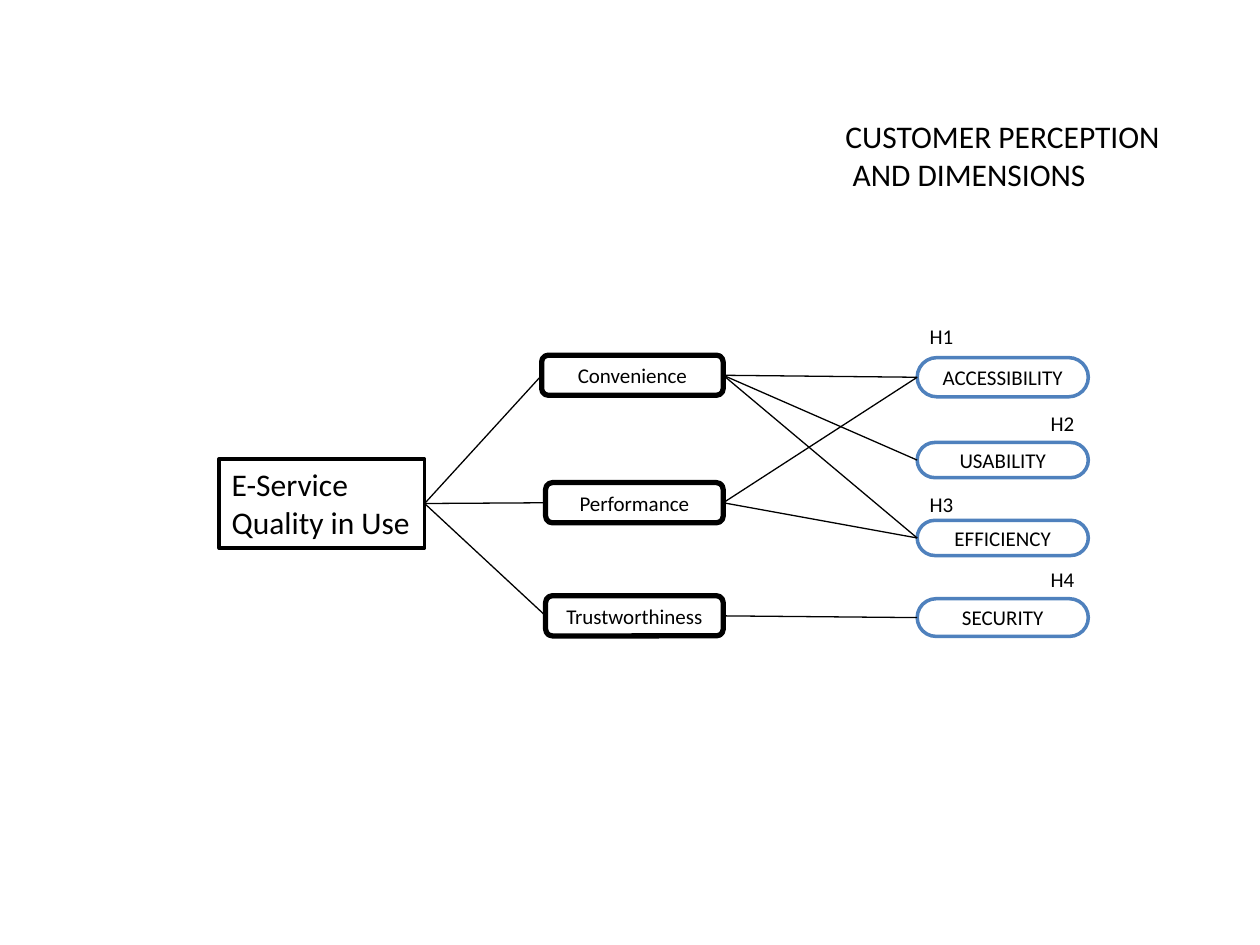
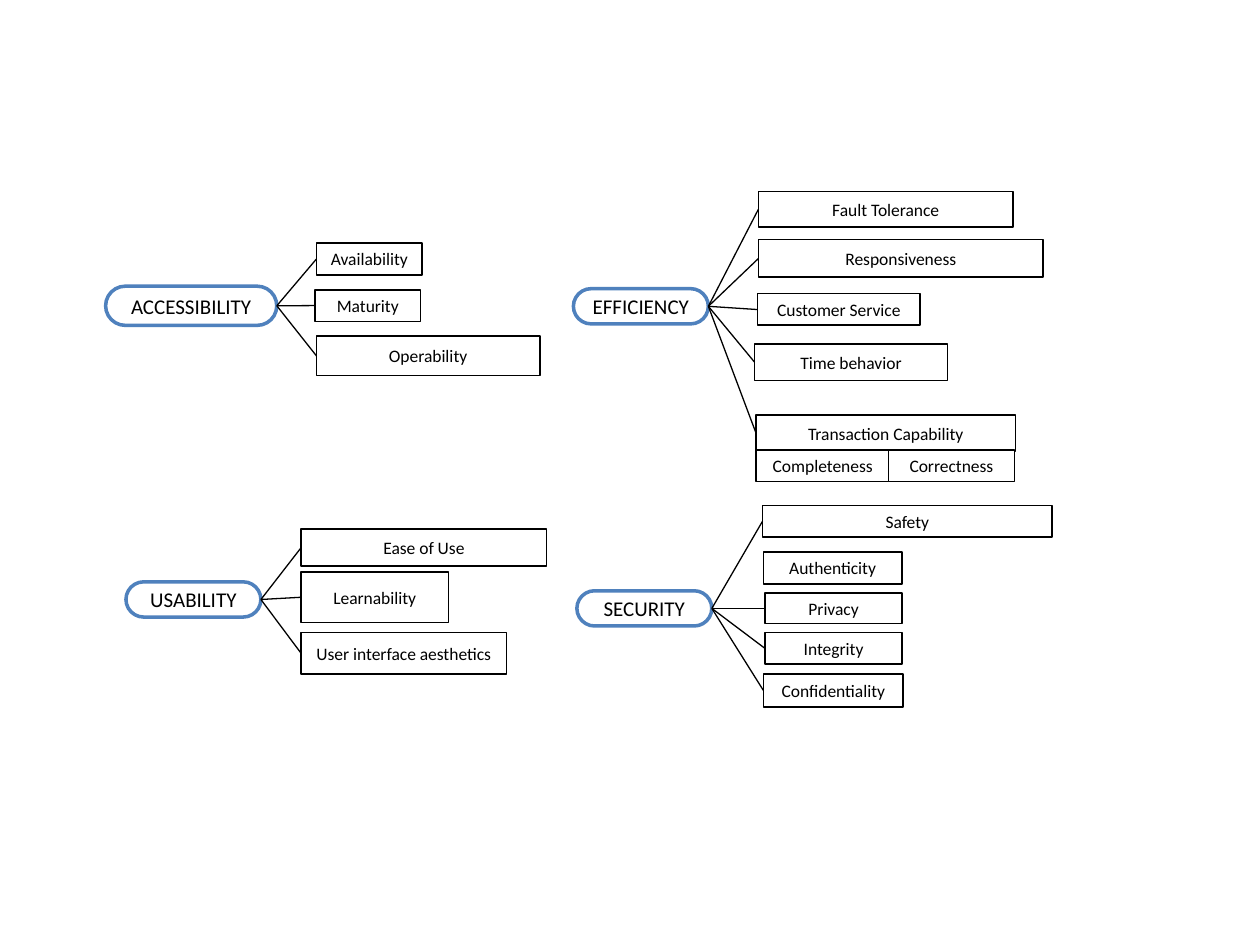
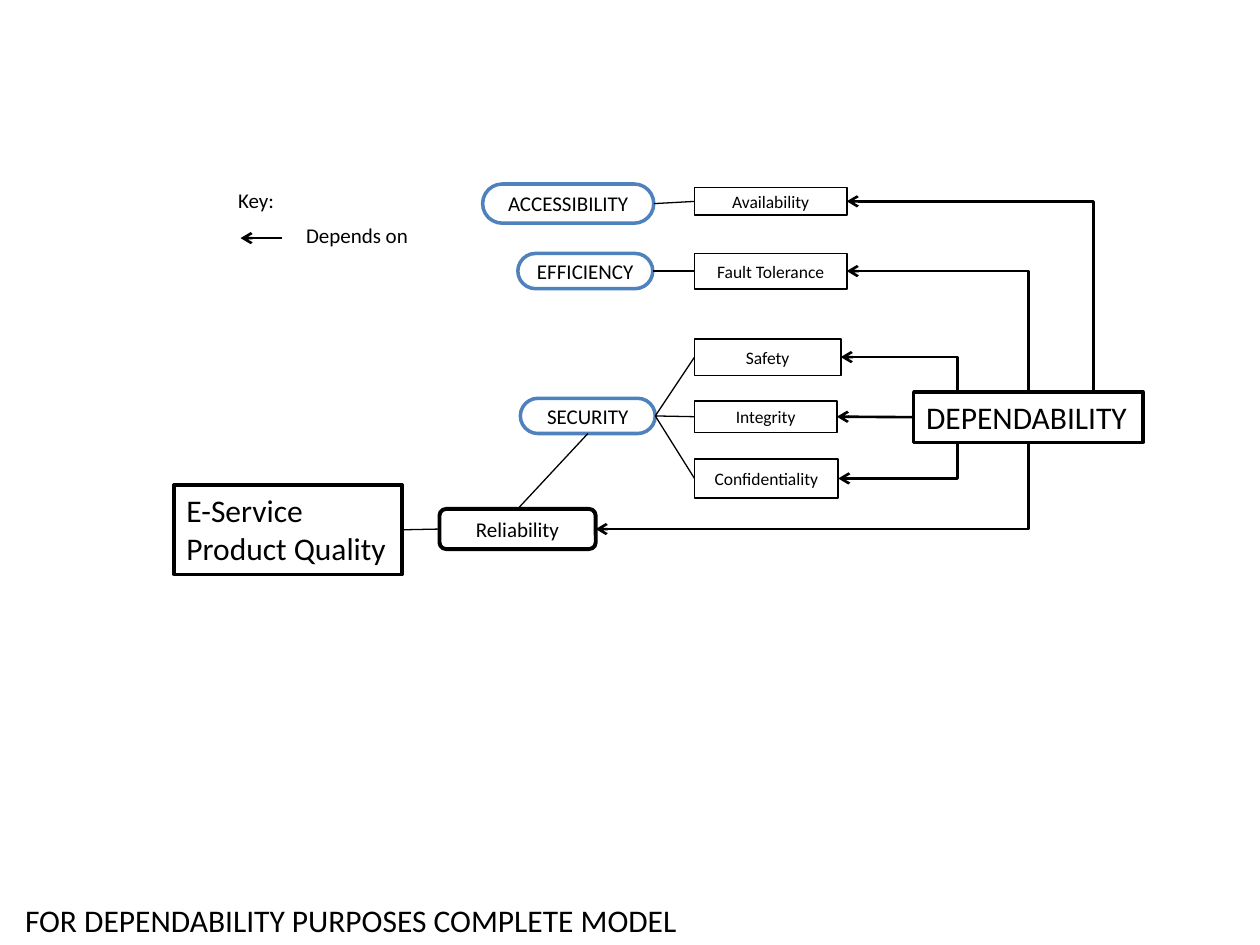
from lxml import etree
from pptx import Presentation
from pptx import util as u
from pptx.dml.color import RGBColor
from pptx.enum import shapes, text
from pptx.oxml import ns

FONT = "Calibri"
BLACK, WHITE, BLUE = "000000", "FFFFFF", "4F81BD"
TOP, LEFT, BOTTOM, RIGHT = range(4)
TITLE_ONLY, BLANK = 5, 6
ROUNDED, RECTANGLE = shapes.MSO_SHAPE.ROUNDED_RECTANGLE, shapes.MSO_SHAPE.RECTANGLE
THIN, THICK = 0.75, 1.5

STYLES = {
    "root": dict(shape=RECTANGLE, line=BLACK, width=2, size=18),
    "dimension": dict(shape=ROUNDED, line=BLACK, width=3, size=12),
    "reliability": dict(shape=ROUNDED, line=BLACK, width=2.25, size=12),
    "quality": dict(shape=ROUNDED, corner=0.5, line=BLUE, width=2, size=12),
    "attribute": dict(shape=ROUNDED, corner=0, line=BLACK, width=1, size=10),
}

SLIDES = [
    dict(
        title=("CUSTOMER PERCEPTION\n AND DIMENSIONS", 16.79, 2.24, 6.93, 1.8),
        boxes=[
            ("quality", "ACCESSIBILITY", 18.49, 7.21, 3.45, 0.79),
            ("quality", "USABILITY", 18.49, 8.92, 3.45, 0.71),
            ("quality", "EFFICIENCY", 18.49, 10.49, 3.45, 0.71),
            ("quality", "SECURITY", 18.49, 12.07, 3.45, 0.76),
            ("dimension", "Convenience", 10.92, 7.16, 3.66, 0.81),
            ("dimension", "Performance", 11, 9.73, 3.58, 0.81),
            ("dimension", "Trustworthiness", 11, 12.01, 3.58, 0.81),
            ("root", "E-Service\nQuality in Use", 4.42, 9.25, 4.14, 1.8),
        ],
        labels=[
            ("H1", 18.49, 6.4, 0.99, 0.76),
            ("H2", 20.93, 8.15, 0.99, 0.76),
            ("H3", 18.49, 9.78, 0.99, 0.76),
            ("H4", 20.93, 11.3, 0.99, 0.76),
        ],
        branches={
            "E-Service\nQuality in Use": ["Convenience", "Performance", "Trustworthiness"],
            "Convenience": ["ACCESSIBILITY", "USABILITY", "EFFICIENCY"],
            "Performance": ["ACCESSIBILITY", "EFFICIENCY"],
            "Trustworthiness": ["SECURITY"],
        },
    ),
    dict(
        boxes=[
            ("quality", "ACCESSIBILITY", 2.13, 5.77, 3.45, 0.79),
            ("quality", "USABILITY", 2.54, 11.73, 2.72, 0.71),
            ("quality", "EFFICIENCY", 11.56, 5.82, 2.72, 0.71),
            ("quality", "SECURITY", 11.63, 11.91, 2.72, 0.71),
            ("attribute", "Availability", 6.38, 4.9, 2.13, 0.64),
            ("attribute", "Maturity", 6.35, 5.84, 2.13, 0.64),
            ("attribute", "Operability", 6.38, 6.78, 4.5, 0.79),
            ("attribute", "Ease of Use", 6.07, 10.67, 4.95, 0.74),
            ("attribute", "Learnability", 6.07, 11.53, 2.97, 1.02),
            ("attribute", "User interface aesthetics", 6.07, 12.75, 4.14, 0.84),
            ("attribute", "Fault Tolerance", 15.29, 3.86, 5.13, 0.71),
            ("attribute", "Responsiveness", 15.29, 4.83, 5.74, 0.76),
            ("attribute", "Customer Service", 15.27, 5.92, 3.28, 0.64),
            ("attribute", "Time behavior", 15.21, 6.93, 3.89, 0.74),
            ("attribute", "Transaction Capability", 15.24, 8.36, 5.23, 0.74),
            ("attribute", "Completeness", 15.24, 9.07, 2.69, 0.64),
            ("attribute", "Correctness", 17.91, 9.07, 2.54, 0.64),
            ("attribute", "Safety", 15.37, 10.19, 5.84, 0.64),
            ("attribute", "Authenticity", 15.39, 11.13, 2.79, 0.64),
            ("attribute", "Privacy", 15.42, 11.96, 2.77, 0.61),
            ("attribute", "Integrity", 15.42, 12.75, 2.77, 0.64),
            ("attribute", "Confidentiality", 15.39, 13.59, 2.82, 0.66),
        ],
        branches={
            "ACCESSIBILITY": ["Availability", "Maturity", "Operability"],
            "USABILITY": ["Ease of Use", "Learnability", "User interface aesthetics"],
            "EFFICIENCY": ["Fault Tolerance", "Responsiveness", "Customer Service",
                           "Time behavior", "Transaction Capability"],
            "SECURITY": ["Safety", "Privacy", "Integrity", "Confidentiality"],
        },
    ),
    dict(
        title=("FOR DEPENDABILITY PURPOSES COMPLETE MODEL", 0.25, 18.03, 13.84, 1.02),
        boxes=[
            ("quality", "ACCESSIBILITY", 9.73, 3.71, 3.45, 0.79),
            ("quality", "EFFICIENCY", 10.44, 5.11, 2.72, 0.71),
            ("quality", "SECURITY", 10.49, 8.03, 2.72, 0.71),
            ("reliability", "Reliability", 8.86, 10.26, 3.15, 0.81),
            ("attribute", "Availability", 14, 3.78, 3.07, 0.56),
            ("attribute", "Fault Tolerance", 14, 5.11, 3.07, 0.71),
            ("attribute", "Safety", 14, 6.83, 2.95, 0.74),
            ("attribute", "Integrity", 14, 8.08, 2.87, 0.64),
            ("attribute", "Confidentiality", 14, 9.25, 2.9, 0.79),
            ("root", "E-Service\nProduct Quality", 3.51, 9.78, 4.6, 1.8),
            ("root", "DEPENDABILITY", 18.42, 7.9, 4.62, 1.02),
        ],
        labels=[
            ("Key:", 4.55, 3.66, 1.24, 0.76),
            ("Depends on", 5.92, 4.37, 3.02, 0.76),
        ],
        branches={
            "ACCESSIBILITY": ["Availability"],
            "EFFICIENCY": ["Fault Tolerance"],
            "SECURITY": ["Safety", "Integrity", "Confidentiality"],
            "E-Service\nProduct Quality": ["Reliability"],
        },
    ),
]

DEPENDENCIES = [
    ("Availability", 22.05, TOP),
    ("Fault Tolerance", 20.73, TOP),
    ("Safety", 19.3, TOP),
    ("Confidentiality", 19.3, BOTTOM),
    ("Reliability", 20.73, BOTTOM),
]
KEY_ARROW = (5.69, 4.8, 4.85, 4.8)


def color(value):
    return RGBColor.from_string(value)


def write(frame, content, size, alignment=text.PP_ALIGN.LEFT, wrap=False,
          anchor=text.MSO_ANCHOR.TOP):
    frame.word_wrap = wrap
    frame.vertical_anchor = anchor
    for index, line in enumerate(content.split("\n")):
        paragraph = frame.add_paragraph() if index else frame.paragraphs[0]
        paragraph.alignment = alignment
        run = paragraph.add_run()
        run.text = line
        run.font.name = FONT
        run.font.size = u.Pt(size)
        run.font.color.rgb = color(BLACK)


def add_title(slide, content, *place):
    title = slide.shapes.title
    title.left, title.top, title.width, title.height = map(u.Cm, place)
    title.text_frame.auto_size = text.MSO_AUTO_SIZE.NONE
    write(title.text_frame, content, 18)


def add_box(slide, kind, content, *place):
    style = STYLES[kind]
    shape = slide.shapes.add_shape(style["shape"], *map(u.Cm, place))
    if "corner" in style:
        shape.adjustments[0] = style["corner"]
    shape.shadow.inherit = False
    shape.fill.solid()
    shape.fill.fore_color.rgb = color(WHITE)
    shape.line.color.rgb = color(style["line"])
    shape.line.width = u.Pt(style["width"])
    if kind == "root":
        write(shape.text_frame, content, style["size"])
    else:
        write(shape.text_frame, content, style["size"], text.PP_ALIGN.CENTER,
              True, text.MSO_ANCHOR.MIDDLE)
    return shape


def add_label(slide, content, *place):
    write(slide.shapes.add_textbox(*map(u.Cm, place)).text_frame, content, 12)


def add_line(slide, places=(0, 0, 0, 0), width=THIN, arrow=False,
             kind=shapes.MSO_CONNECTOR.STRAIGHT):
    connector = slide.shapes.add_connector(kind, *places)
    connector.line.color.rgb = color(BLACK)
    connector.line.width = u.Pt(width)
    if arrow:
        tail = etree.SubElement(connector.line._get_or_add_ln(), ns.qn("a:tailEnd"))
        tail.set("type", "arrow")
    etree.SubElement(connector._element.spPr, ns.qn("a:effectLst"))
    return connector


def join(slide, start, start_side, end, end_side, **look):
    connector = add_line(slide, **look)
    connector.begin_connect(start, start_side)
    connector.end_connect(end, end_side)


def add_bend(slide, source, x, side, target):
    start_y = source.top if side == TOP else source.top + source.height
    connector = add_line(
        slide,
        (u.Cm(x), start_y, target.left + target.width, target.top + target.height // 2),
        THICK, True, shapes.MSO_CONNECTOR.ELBOW)
    geometry = connector._element.spPr.find(ns.qn("a:prstGeom"))
    adjustments = geometry.find(ns.qn("a:avLst"))
    if adjustments is None:
        adjustments = etree.SubElement(geometry, ns.qn("a:avLst"))
    guide = etree.SubElement(adjustments, ns.qn("a:gd"))
    guide.set("name", "adj1")
    guide.set("fmla", "val 0")


def add_diagram(presentation, content):
    layout = TITLE_ONLY if "title" in content else BLANK
    slide = presentation.slides.add_slide(presentation.slide_layouts[layout])
    if "title" in content:
        add_title(slide, *content["title"])
    boxes = {box[1]: add_box(slide, *box) for box in content["boxes"]}
    for label in content.get("labels", []):
        add_label(slide, *label)
    for parent, children in content["branches"].items():
        for child in children:
            join(slide, boxes[parent], RIGHT, boxes[child], LEFT)
    return slide, boxes


def add_dependencies(slide, boxes):
    dependability = boxes["DEPENDABILITY"]
    join(slide, boxes["Reliability"], TOP, boxes["SECURITY"], BOTTOM)
    join(slide, dependability, LEFT, boxes["Integrity"], RIGHT, width=THICK, arrow=True)
    for target, x, side in DEPENDENCIES:
        add_bend(slide, dependability, x, side, boxes[target])
    add_line(slide, tuple(map(u.Cm, KEY_ARROW)), THICK, True)


def main():
    presentation = Presentation()
    presentation.slide_width, presentation.slide_height = u.Cm(25.4), u.Cm(19.05)
    for content in SLIDES:
        slide, boxes = add_diagram(presentation, content)
    add_dependencies(slide, boxes)
    presentation.save("out.pptx")


if __name__ == "__main__":
    main()
